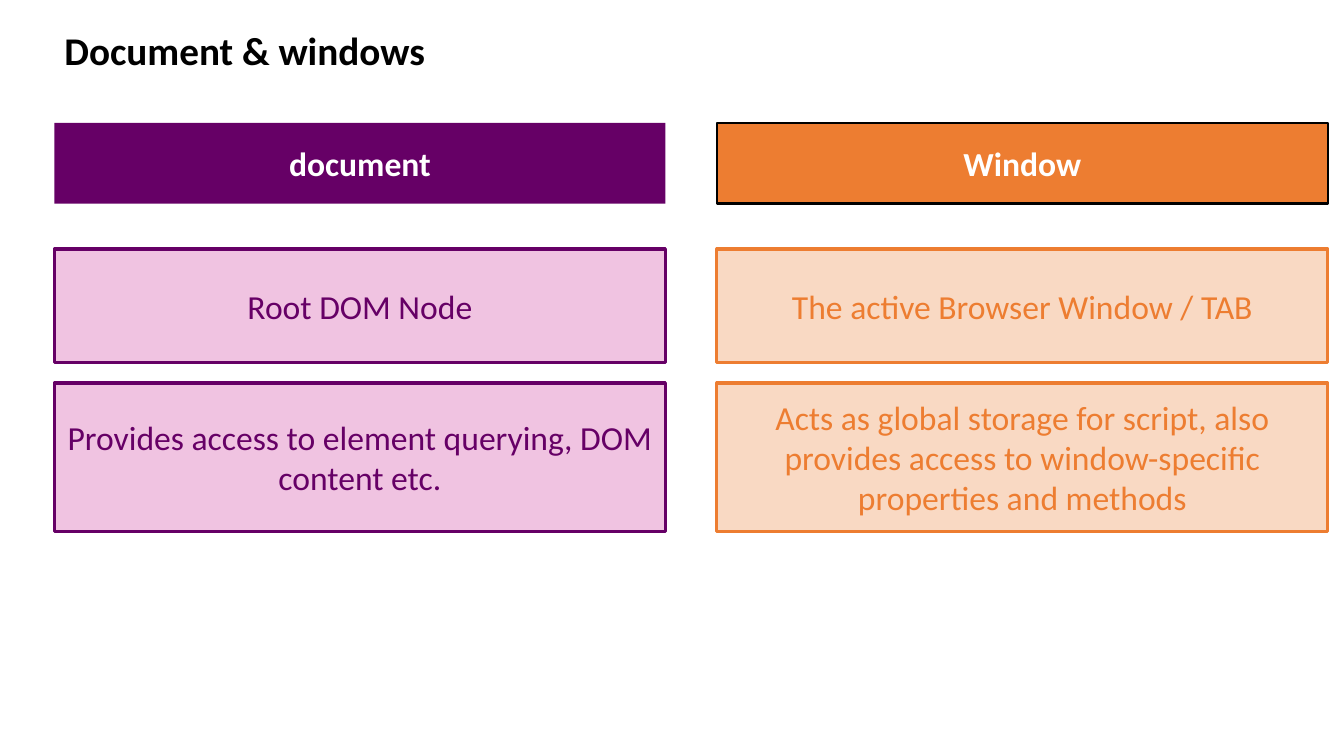
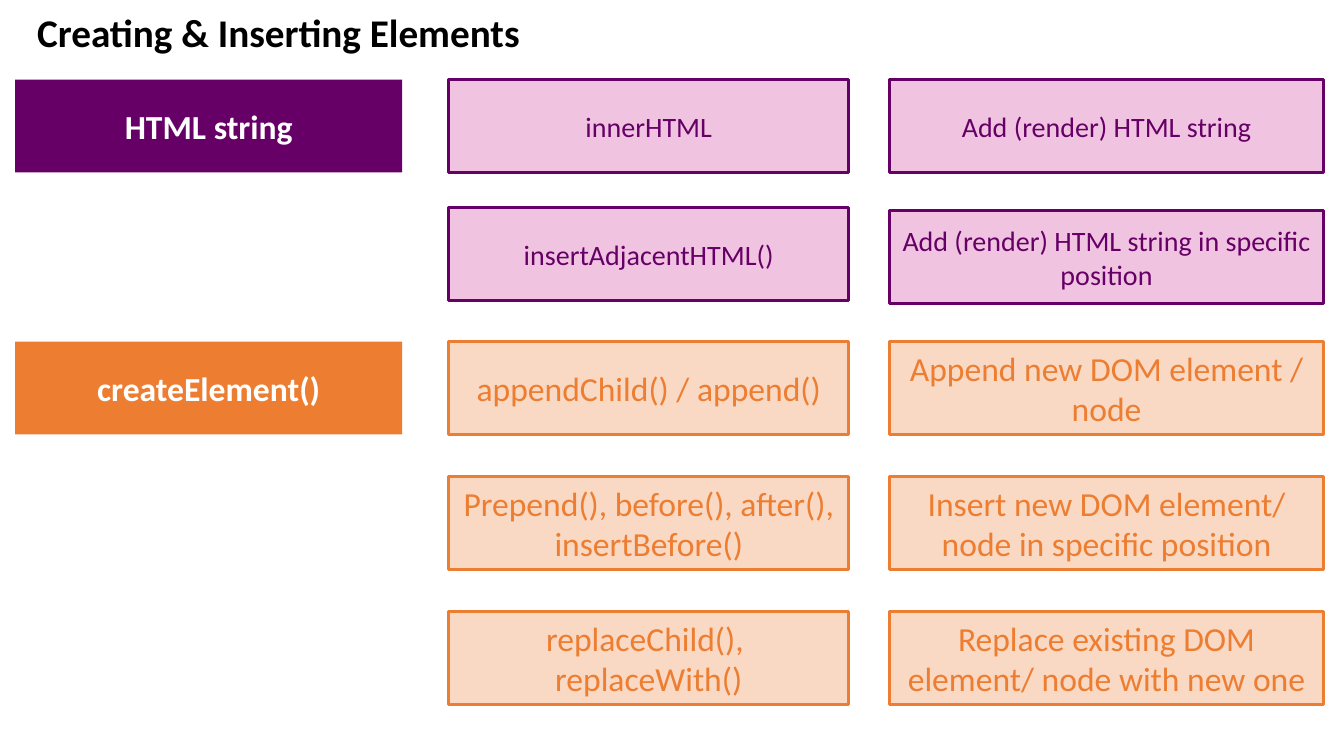
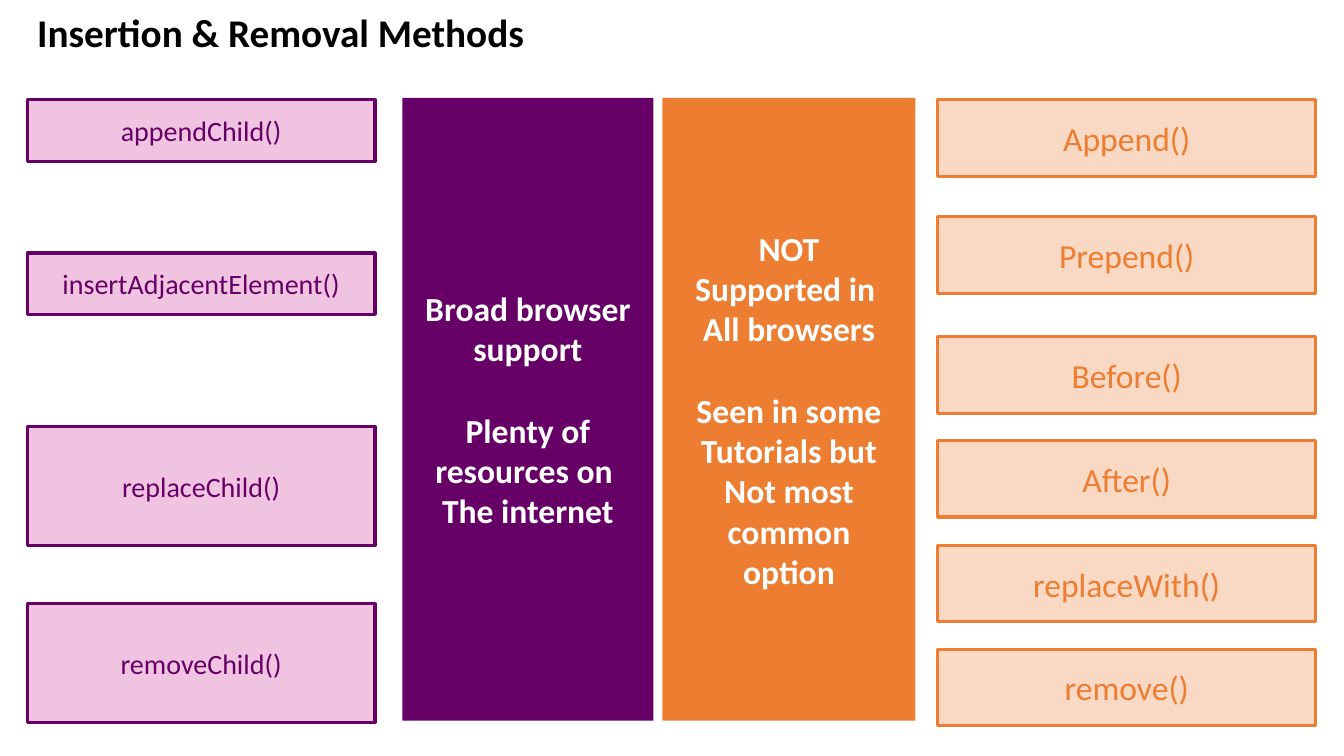
from lxml import etree
from pptx import Presentation
from pptx import util as u
from pptx.dml.color import RGBColor
from pptx.enum import shapes, text
from pptx.oxml import ns

COLOURS = {
    "purple": "660066",
    "purple tint": "CC3399",
    "orange": "ED7D31",
    "orange tint": "ED7D31",
    "white": "FFFFFF",
    "black": "000000",
}
FONT = "Calibri"
TINT_OPACITY = 29
BLANK_LINE = 29.3


def colour(name):
    """Return the named colour."""
    return RGBColor.from_string(COLOURS[name])


class Deck:
    """Holds the shared style and the slide being built."""

    def __init__(self):
        """Set up an empty wide presentation."""
        self.show = Presentation()
        self.show.slide_width = u.Inches(13.33)
        self.show.slide_height = u.Inches(7.5)
        self.slide = None

    def new_slide(self, title, left=0.27, top=0.03):
        """Start a blank slide with a bold title."""
        self.slide = self.show.slides.add_slide(self.show.slide_layouts[6])
        place = [u.Inches(n) for n in (left, top, 6.57, 0.57)]
        frame = self.slide.shapes.add_textbox(*place).text_frame
        frame.word_wrap = True
        frame.auto_size = text.MSO_AUTO_SIZE.SHAPE_TO_FIT_TEXT
        self.set_words(frame.paragraphs[0], title, 28, "black", bold=True)

    def set_words(self, paragraph, words, size, ink, bold=False):
        """Fill a paragraph and set its font."""
        paragraph.text = words
        font = paragraph.font
        font.name, font.size, font.bold = FONT, u.Pt(size), bold
        font.color.rgb = colour(ink)

    def box(self, place, groups, fill, ink, size, bold=False):
        """Draw a rectangle with centred lines; a gap parts the groups."""
        rect = self.slide.shapes.add_shape(
            shapes.MSO_SHAPE.RECTANGLE, *[u.Inches(n) for n in place])
        rect.shadow.inherit = False
        rect.fill.solid()
        rect.fill.fore_color.rgb = colour(fill)
        rect.line.fill.background()
        frame = rect.text_frame
        frame.word_wrap = True
        frame.vertical_anchor = text.MSO_ANCHOR.MIDDLE
        paragraph = None
        for group in groups:
            for index, words in enumerate(group.split("\n")):
                gap = BLANK_LINE if paragraph and index == 0 else 0
                paragraph = frame.add_paragraph() if paragraph else frame.paragraphs[0]
                paragraph.alignment = text.PP_ALIGN.CENTER
                paragraph.space_before = u.Pt(gap)
                self.set_words(paragraph, words, size, ink, bold)
        return rect

    def outline(self, rect, ink, width):
        """Give a rectangle a visible border."""
        rect.line.color.rgb = colour(ink)
        rect.line.width = u.Pt(width)

    def header(self, place, hue, *groups):
        """Draw a solid box with bold white text."""
        return self.box(place, groups, hue, "white", 24, bold=True)

    def card(self, place, hue, words, size=24):
        """Draw a translucent box with border and text in one hue."""
        rect = self.box(place, [words], f"{hue} tint", hue, size)
        self.outline(rect, hue, 2.25)
        fill_colour = rect.element.spPr.find(ns.qn("a:solidFill"))[0]
        alpha = etree.SubElement(fill_colour, ns.qn("a:alpha"))
        alpha.set("val", str(TINT_OPACITY * 1000))


def document_and_window(deck):
    """Compare document and window side by side."""
    deck.new_slide("Document & windows", 0.54, 0.21)
    columns = [
        (0.54, "purple", "document", "Root DOM Node",
         "Provides access to element querying, DOM content etc."),
        (7.11, "orange", "Window", "The active Browser Window / TAB",
         "Acts as global storage for script, also provides access to "
         "window-specific properties and methods"),
    ]
    width = 6.06
    for left, hue, heading, meaning, role in columns:
        heading_box = deck.header((left, 1.22, width, 0.8), hue, heading)
        if hue == "orange":
            deck.outline(heading_box, "black", 1.5)
        deck.card((left, 2.47, width, 1.13), hue, meaning)
        deck.card((left, 3.8, width, 1.47), hue, role)


def creating_elements(deck):
    """List ways to create and insert elements with their effects."""
    deck.new_slide("Creating & Inserting Elements")
    height = 0.92
    for top, hue, source in [(0.79, "purple", "HTML string"),
                             (3.39, "orange", "createElement()")]:
        deck.header((0.15, top, 3.84, height), hue, source)
    rows = [
        (0.79, 0.79, "purple", 20, "innerHTML", "Add (render) HTML string"),
        (2.06, 2.09, "purple", 20, "insertAdjacentHTML()",
         "Add (render) HTML string in specific position"),
        (3.39, 3.39, "orange", 24, "appendChild() / append()",
         "Append new DOM element / node"),
        (4.73, 4.73, "orange", 24, "Prepend(), before(), after(), insertBefore()",
         "Insert new DOM element/ node in specific position"),
        (6.07, 6.07, "orange", 24, "replaceChild(), \nreplaceWith()",
         "Replace existing DOM element/ node with new one"),
    ]
    for method_top, effect_top, hue, size, method, effect in rows:
        deck.card((4.45, method_top, 3.97, height), hue, method, size)
        deck.card((8.82, effect_top, 4.31, height), hue, effect, size)


def insertion_and_removal(deck):
    """Set broadly supported methods against newer ones."""
    deck.new_slide("Insertion & Removal Methods")
    deck.header((3.99, 0.97, 2.49, 6.18), "purple", "Broad browser support",
                "Plenty of resources on \nThe internet")
    deck.header((6.57, 0.97, 2.51, 6.18), "orange",
                "NOT\nSupported in \nAll browsers",
                "Seen in some\nTutorials but\nNot most common\noption")
    for top, height, method in [(0.99, 0.61, "appendChild()"),
                                (2.51, 0.61, "insertAdjacentElement()"),
                                (4.23, 1.18, "replaceChild()"),
                                (5.99, 1.18, "removeChild()")]:
        deck.card((0.27, top, 3.45, height), "purple", method, 20)
    for top, method in [(0.99, "Append()"), (2.15, "Prepend()"),
                        (3.34, "Before()"), (4.37, "After()"),
                        (5.41, "replaceWith()"), (6.44, "remove()")]:
        deck.card((9.3, top, 3.75, 0.76), "orange", method)


deck = Deck()
document_and_window(deck)
creating_elements(deck)
insertion_and_removal(deck)
deck.show.save("out.pptx")
